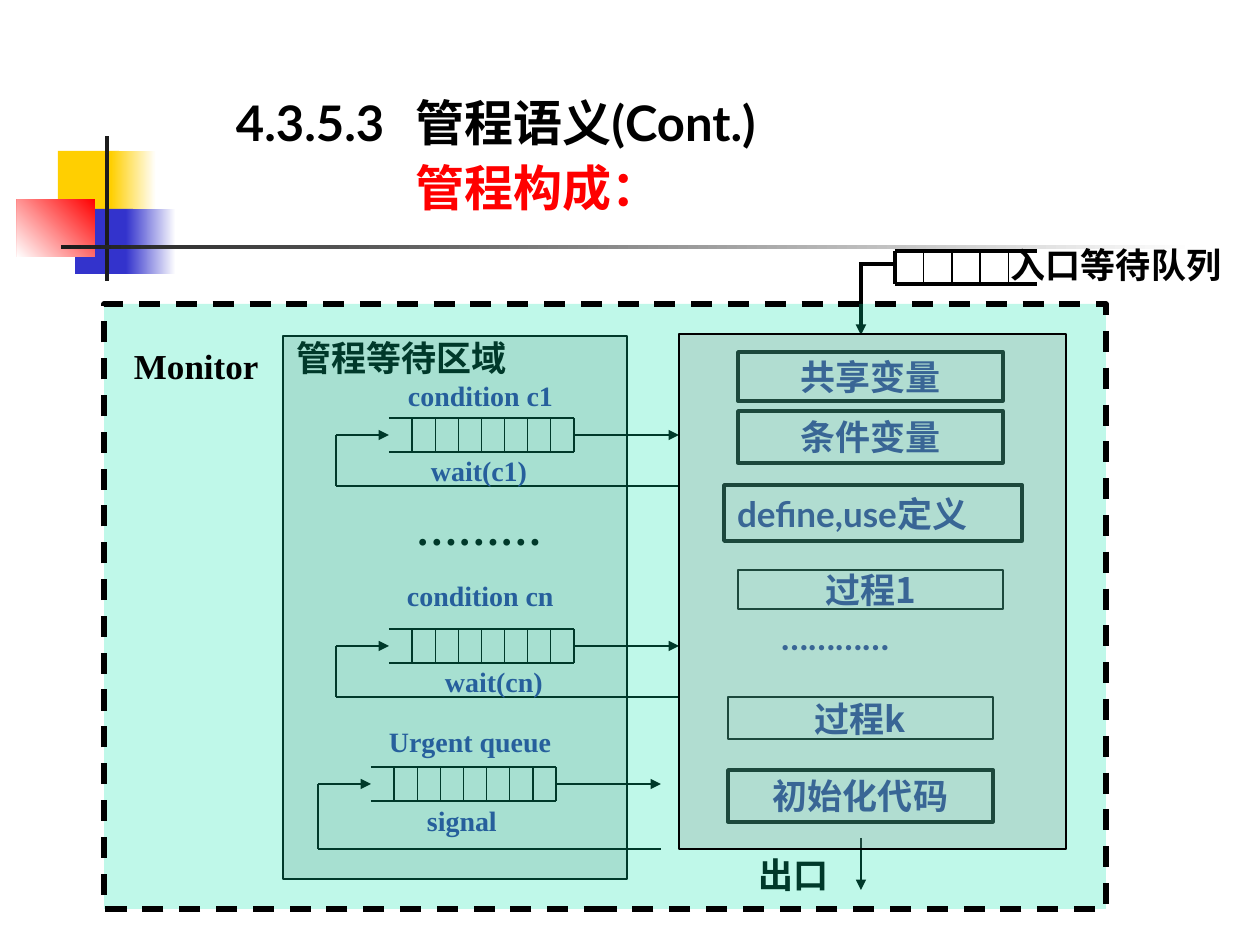
from dataclasses import dataclass

from pptx import Presentation
from pptx.dml.color import RGBColor
from pptx.enum.dml import MSO_LINE
from pptx.enum.shapes import MSO_CONNECTOR, MSO_SHAPE
from pptx.enum.text import MSO_ANCHOR, MSO_AUTO_SIZE, PP_ALIGN
from pptx.oxml.ns import qn
from pptx.util import Pt
from lxml import etree

RECT, STRAIGHT, DASH = MSO_SHAPE.RECTANGLE, MSO_CONNECTOR.STRAIGHT, MSO_LINE.DASH
TOP, MIDDLE, BOTTOM = MSO_ANCHOR.TOP, MSO_ANCHOR.MIDDLE, MSO_ANCHOR.BOTTOM
LEFT, CENTER = PP_ALIGN.LEFT, PP_ALIGN.CENTER
PX = 914400 / 126
TITLE_ONLY = 5


@dataclass(frozen=True)
class Theme:
    black: str = "000000"
    white: str = "FFFFFF"
    red: str = "FF0000"
    yellow: str = "FFCF01"
    blue: str = "3333CC"
    rule: str = "1C1C1C"
    label: str = "333399"
    mint: str = "00E4A8"
    silver: str = "C0C0C0"
    gray: str = "808080"
    cjk: str = "Noto Sans CJK SC"
    sans: str = "Lato"
    serif: str = "Times New Roman"
    title: int = 28
    dots: int = 24
    body: int = 20
    small: int = 16
    thin: float = 0.75
    cell: float = 1
    thick: float = 2
    rail: float = 2.25
    border: float = 3


T = Theme()


def emu(*lengths):
    return [round(n * PX) for n in lengths]


def rgb(value):
    return RGBColor.from_string(value)


def child(parent, tag, **attrs):
    return etree.SubElement(parent, qn(tag), attrs)


def style_runs(p, size, color, font):
    for r in p.runs:
        r.font.size, r.font.bold, r.font.name = Pt(size), True, font
        r.font.color.rgb = rgb(color)
        child(r._r.get_or_add_rPr(), "a:ea", typeface=T.cjk)


def set_frame(tf, anchor, inset=(0, 0)):
    tf.word_wrap, tf.auto_size, tf.vertical_anchor = True, MSO_AUTO_SIZE.NONE, anchor
    tf.margin_left, tf.margin_top = tf.margin_right, tf.margin_bottom = emu(*inset)


def write(sp, text, size, color, font, align, anchor, inset=(0, 0), spacing=1.0):
    tf = sp.text_frame
    set_frame(tf, anchor, inset)
    tf.text = text
    p = tf.paragraphs[0]
    p.alignment, p.line_spacing = align, spacing
    style_runs(p, size, color, font)


def label(s, box, text, size=T.body, color=T.black, font=T.cjk,
          align=CENTER, anchor=MIDDLE, spacing=1.0):
    sp = s.shapes.add_textbox(*emu(*box))
    write(sp, text, size, color, font, align, anchor, spacing=spacing)


def rect(s, box, fill=None, line=None, opacity=100, fade=None):
    """Rectangle with a plain fill, or a gradient to white at angle fade."""
    sp = s.shapes.add_shape(RECT, *emu(*box))
    sp.shadow.inherit = False
    if fill is None:
        sp.fill.background()
    elif fade is not None:
        sp.fill.gradient()
        sp.fill.gradient_angle = fade
        for stop, color in zip(sp.fill.gradient_stops, (fill, T.white)):
            stop.color.rgb = rgb(color)
    else:
        sp.fill.solid()
        sp.fill.fore_color.rgb = rgb(fill)
        if opacity < 100:
            color = sp._element.spPr.find(qn("a:solidFill"))[0]
            child(color, "a:alpha", val=str(opacity * 1000))
    if line is None:
        sp.line.fill.background()
    else:
        sp.line.color.rgb, sp.line.width = rgb(T.black), Pt(line)
    return sp


def line(s, x1, y1, x2, y2, width=T.thin, arrow=False):
    c = s.shapes.add_connector(STRAIGHT, *emu(x1, y1, x2, y2))
    c.line.color.rgb, c.line.width = rgb(T.black), Pt(width)
    if arrow:
        child(c.line._get_or_add_ln(), "a:tailEnd", type="triangle")
    child(c._element.spPr, "a:effectLst")


def add_title(s, box):
    sp = s.shapes.title
    sp.left, sp.top, sp.width, sp.height = emu(*box)
    tf = sp.text_frame
    set_frame(tf, BOTTOM)
    tf.text = "4.3.5.3\t管程语义(Cont.)\n管程构成："
    for p, color in zip(tf.paragraphs, (T.black, T.red)):
        p.alignment, p.line_spacing = LEFT, 1.1
        style_runs(p, T.title, color, T.sans)
    first, second = (p._p.get_or_add_pPr() for p in tf.paragraphs)
    gap = str(emu(180)[0])
    child(child(first, "a:tabLst"), "a:tab", pos=gap, algn="l")
    second.set("marL", gap)
    second.set("indent", "0")


def add_ornament(s, x, y):
    """Coloured squares with the vertical bar and the fading rule."""
    for dx, dy, w, h, color, fade in (
            (41, 15, 61, 65, T.yellow, None), (94, 15, 45, 65, T.yellow, 0),
            (58, 73, 58, 65, T.blue, None), (109, 73, 50, 65, T.blue, 0),
            (0, 63, 78, 58, T.red, 225), (88, 0, 4, 145, T.rule, None),
            (44, 109, 1134, 4, T.rule, 0)):
        rect(s, (x + dx, y + dy, w, h), color, fade=fade)


def add_queue(s, x, y, w, h, drop, upper, lower, upper_at, lower_at):
    """Waiting queue: rails, slots, return loop and its two captions."""
    mid, entry, end = y + h / 2, x - 53, x + 290
    for rail in (y, y + h):
        line(s, x, rail, x + w, rail)
    for i in range(1, 9):
        line(s, x + w * i / 8, y, x + w * i / 8, y + h)
    line(s, end, y + drop, entry, y + drop)
    line(s, entry, y + drop, entry, mid)
    line(s, entry, mid, x, mid, arrow=True)
    line(s, x + w, mid, end, mid, arrow=True)
    for text, (dx, dy) in ((upper, upper_at), (lower, lower_at)):
        label(s, (x + dx, y + dy, 190, 24), text, T.small, T.label, T.serif,
              LEFT, TOP, 0.8)


def add_waiting_area(s, x, y, w, h):
    rect(s, (x, y, w, h), T.silver, T.thin, 50)
    for dx, dy, drop, upper, lower, upper_at, lower_at in (
            (106, 82, 68, "condition c1", "wait(c1)", (19, -33), (42, 42)),
            (106, 293, 68, "condition cn", "wait(cn)", (18, -44), (56, 42)),
            (88, 431, 82, "Urgent queue", "signal", (18, -36), (56, 43))):
        add_queue(s, x + dx, y + dy, 185, 34, drop, upper, lower, upper_at, lower_at)
    label(s, (x + 133, y + 168, 135, 86), "………", T.dots, font=T.serif,
          align=LEFT, anchor=TOP)
    label(s, (x, y + 4, 238, 34), "管程等待区域")


def add_contents(s, x, y):
    """Variables, procedures and start-up code of the monitor."""
    for dx, dy, w, h, text, width in (
            (59, 18, 265, 49, "共享变量", T.thick),
            (59, 77, 265, 52, "条件变量", T.thick),
            (59, 236, 265, 39, "过程1", T.thin),
            (49, 363, 265, 42, "过程k", T.thin),
            (49, 436, 265, 52, "初始化代码", T.thick)):
        sp = rect(s, (x + dx, y + dy, w, h), T.white, width)
        write(sp, text, T.body, T.label, T.cjk, CENTER, MIDDLE)
    sp = rect(s, (x + 45, y + 151, 298, 56), line=T.thick)
    write(sp, "define,use定义", T.body, T.label, T.sans, LEFT, MIDDLE, (13, 6))
    label(s, (x + 102, y + 281, 159, 34), "…………", color=T.label, font=T.sans,
          align=LEFT, anchor=TOP)


def add_gates(s, x, top, bottom):
    """Arrow into the monitor and arrow out of it."""
    line(s, x, top, x, top + 71, T.thick, arrow=True)
    line(s, x - 2, top, x + 36, top, T.thick)
    line(s, x, bottom, x, bottom + 52, arrow=True)
    label(s, (x - 135, bottom + 20, 135, 34), "出口")


def add_entry_queue(s, x, y, w, h):
    for rail in (y, y + h):
        line(s, x, rail, x + w, rail, T.rail)
    for i in range(5):
        slot = x + w * i / 5
        line(s, slot, y, slot, y + h, T.cell if i else T.rail)
    label(s, (x + 112, y - 6, 218, 39), "入口等待队列")


def main():
    prs = Presentation()
    prs.slide_width, prs.slide_height = emu(1260, 945)
    s = prs.slides.add_slide(prs.slide_layouts[TITLE_ONLY])
    add_ornament(s, 17, 136)
    add_title(s, (236, 86, 653, 130))
    add_waiting_area(s, 283, 336, 344, 543)
    add_contents(s, 679, 334)
    add_gates(s, 861, 264, 838)
    # Translucent panels lie over the parts they enclose
    monitor = rect(s, (104, 304, 1002, 605), T.mint, T.border, 25)
    monitor.line.dash_style = DASH
    add_entry_queue(s, 895, 251, 142, 33)
    rect(s, (679, 334, 387, 515), T.gray, T.thin, 22)
    label(s, (134, 344, 149, 42), "Monitor", font=T.serif, align=LEFT)
    prs.save("out.pptx")


if __name__ == "__main__":
    main()
